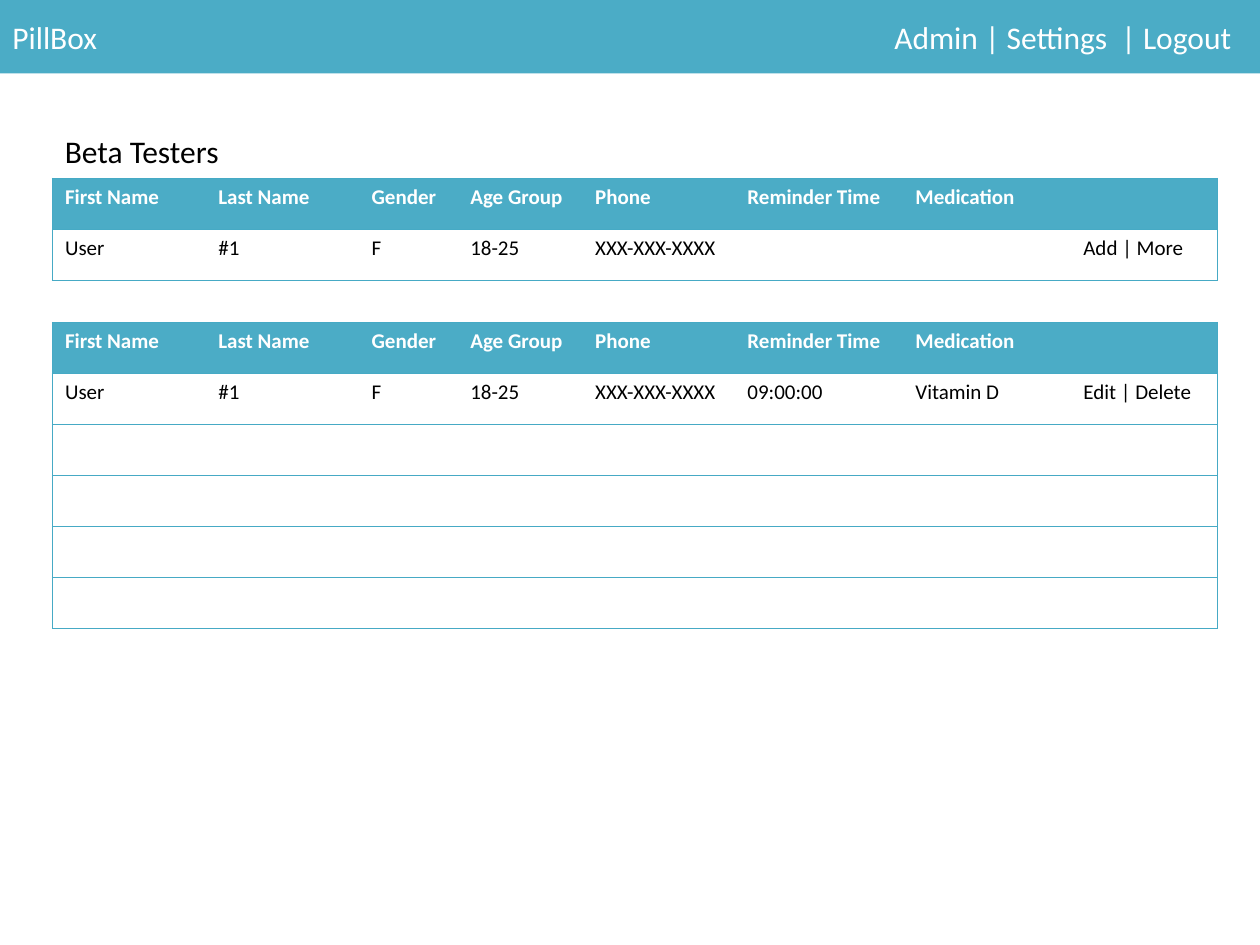
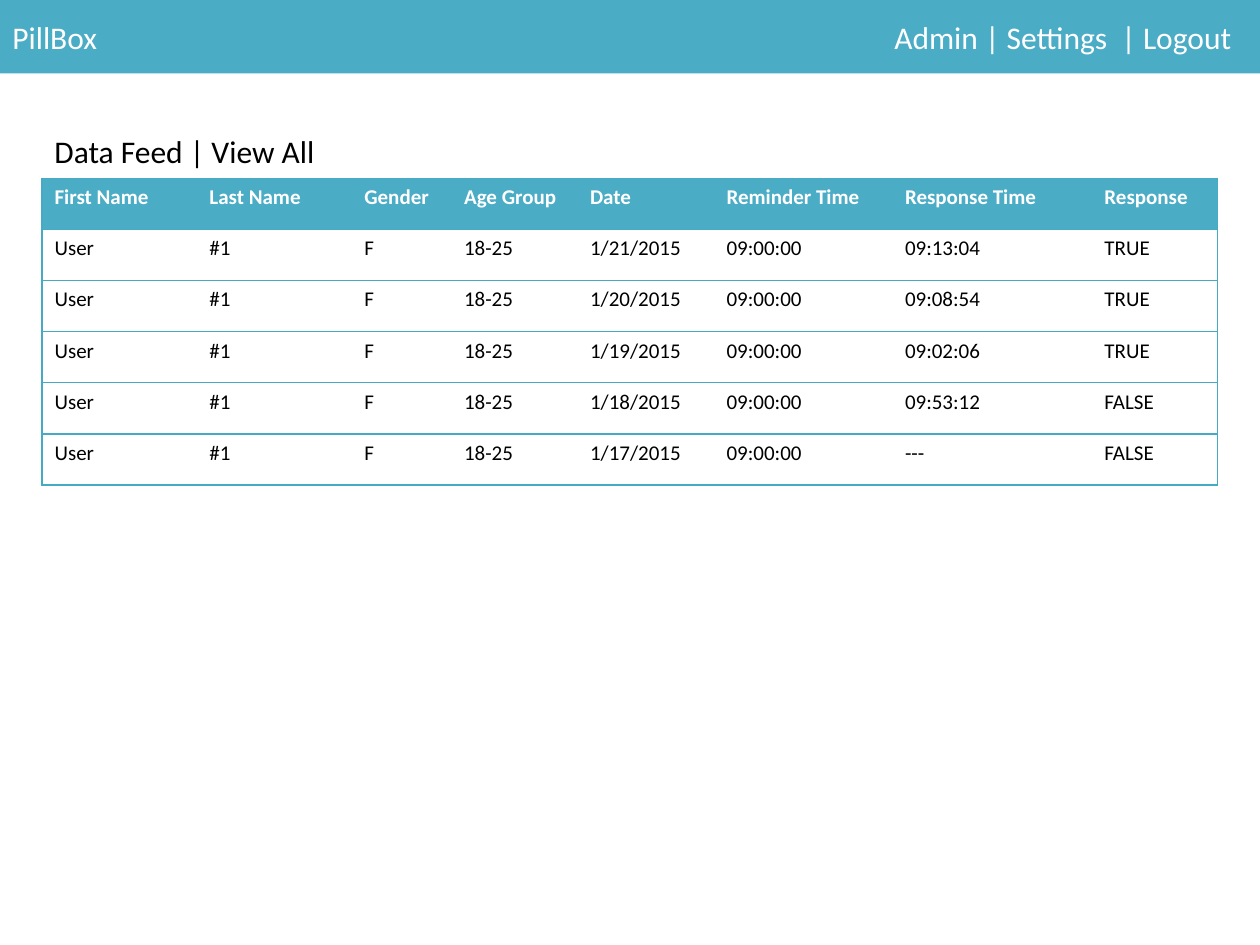
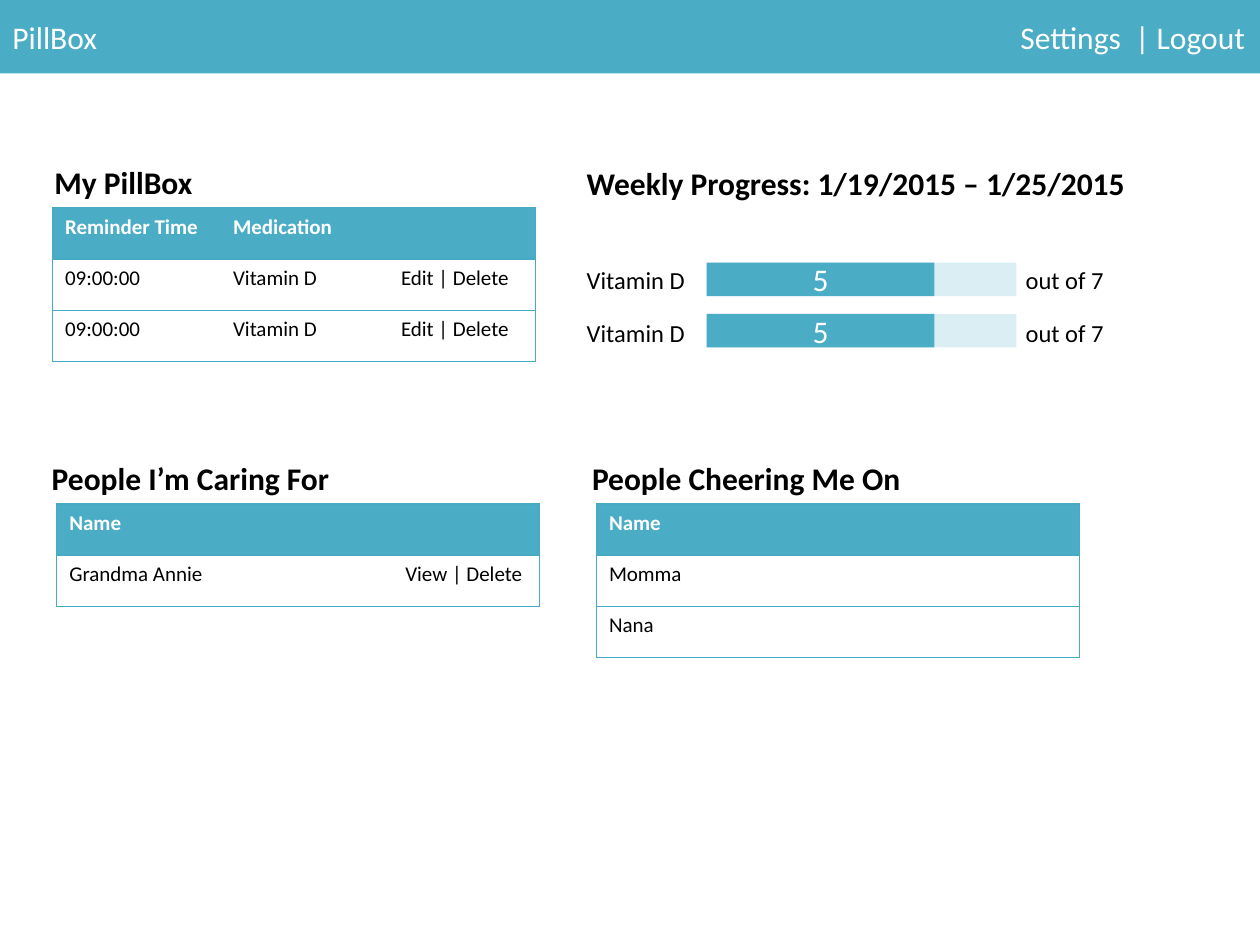
"""Builds the three PillBox app screens on a grid of 120 by 90 units."""
from lxml import etree
from pptx import Presentation, util as u
from pptx.dml.color import RGBColor
from pptx.enum import shapes, text
from pptx.oxml import ns

UNIT = u.Inches(10) // 120
TEAL, PALE, EDGE, WHITE, BLACK = "4BACC6", "DBEEF4", "46AAC5", "FFFFFF", "000000"
ROW = 4.87
BAND = 7
PLAIN_TABLE = "{2D5ABB26-0587-4C30-8999-92F81FD0307C}"


def color(code):
    return RGBColor.from_string(code)


def write(para, words, ink=BLACK, **formats):
    span = para.add_run()
    span.text = words
    span.font.color.rgb = color(ink)
    for name, value in {"name": "Calibri", "size": u.Pt(18), "bold": False, **formats}.items():
        setattr(span.font, name, value)


TESTER_COLUMNS = [14.6, 14.6, 9.4, 11.9, 14.5, 16, 16, 14]
TESTER_HEAD = "First Name,Last Name,Gender,Age Group,Phone,Reminder Time,Medication,"
FEED_COLUMNS = [14.75, 14.75, 9.5, 12, 13, 17, 19, 12]
DOSE = "09:00:00,Vitamin D,Edit | Delete"
FEED = [
    ("21", "09:13:04", "TRUE"),
    ("20", "09:08:54", "TRUE"),
    ("19", "09:02:06", "TRUE"),
    ("18", "09:53:12", "FALSE"),
    ("17", "---", "FALSE"),
]
SCREENS = [
    {
        "menu": "Admin | Settings  | Logout", "menu_at": 84, "bold": False,
        "titles": [(5, 12, 17.2, "Beta Testers")],
        "tables": [
            (5, 17, TESTER_COLUMNS, [TESTER_HEAD, "User,#1,F,18-25,XXX-XXX-XXXX,,,Add | More"]),
            (5, 30.7, TESTER_COLUMNS,
             [TESTER_HEAD, "User,#1,F,18-25,XXX-XXX-XXXX," + DOSE] + [",,,,,,,"] * 4),
        ],
    },
    {
        "menu": "Admin | Settings  | Logout", "menu_at": 84, "bold": False,
        "titles": [(4, 12, 27.5, "Data Feed | View All")],
        "tables": [
            (4, 17, FEED_COLUMNS,
             ["First Name,Last Name,Gender,Age Group,Date,Reminder Time,Response Time,Response"]
             + [f"User,#1,F,18-25,1/{day}/2015,09:00:00,{time},{taken}" for day, time, taken in FEED]),
        ],
    },
    {
        "menu": "Settings  | Logout", "menu_at": 96, "bold": True,
        "titles": [
            (4, 14.9, 15.7, "My PillBox"),
            (54.7, 15, 54.2, "Weekly Progress: 1/19/2015 – 1/25/2015"),
            (3.75, 43.1, 29, "People I’m Caring For"),
            (55.2, 43.1, 32, "People Cheering Me On"),
        ],
        "tables": [
            (5, 19.8, [16, 16, 14], ["Reminder Time,Medication,", DOSE, DOSE]),
            (5.4, 48, [32, 14], ["Name,", "Grandma Annie,View | Delete"]),
            (56.8, 48, [32, 14], ["Name,", "Momma,", "Nana,"]),
        ],
    },
]

deck = Presentation()
deck.slide_width, deck.slide_height = 120 * UNIT, 90 * UNIT

for screen in SCREENS:
    page = deck.slides.add_slide(deck.slide_layouts[6])

    band = page.shapes.add_shape(shapes.MSO_SHAPE.RECTANGLE, 0, 0, deck.slide_width, BAND * UNIT)
    band.shadow.inherit = False
    band.fill.solid()
    band.fill.fore_color.rgb = color(TEAL)
    band.line.fill.background()
    band.text_frame.vertical_anchor = text.MSO_ANCHOR.MIDDLE
    para = band.text_frame.paragraphs[0]
    para.alignment = text.PP_ALIGN.LEFT
    write(para, "PillBox\t" + screen["menu"], WHITE)
    stops = etree.SubElement(para._p.get_or_add_pPr(), ns.qn("a:tabLst"))
    etree.SubElement(stops, ns.qn("a:tab"), pos=str(screen["menu_at"] * UNIT), algn="l")

    for left, top, width, words in screen["titles"]:
        box = page.shapes.add_textbox(*[int(n * UNIT) for n in (left, top, width, 4.85)])
        box.text_frame.word_wrap = False
        box.text_frame.auto_size = text.MSO_AUTO_SIZE.SHAPE_TO_FIT_TEXT
        write(box.text_frame.paragraphs[0], words, bold=screen["bold"])
        if not words.startswith("Weekly"):
            continue
        box.height = int(22.2 * UNIT)
        for gap in (36.5, 13.5):
            para = box.text_frame.add_paragraph()
            para.space_before = u.Pt(gap)
            write(para, "Vitamin D\tout of 7", size=u.Pt(14))
            stops = etree.SubElement(para._p.get_or_add_pPr(), ns.qn("a:tabLst"))
            etree.SubElement(stops, ns.qn("a:tab"), pos=str(int(41.8 * UNIT)), algn="l")
        for top in (25, 29.9):
            for width, shade, count in ((29.5, PALE, ""), (21.7, TEAL, "5")):
                bar = page.shapes.add_shape(
                    shapes.MSO_SHAPE.RECTANGLE, *[int(n * UNIT) for n in (67.3, top, width, 3.2)])
                bar.shadow.inherit = False
                bar.fill.solid()
                bar.fill.fore_color.rgb = color(shade)
                bar.line.fill.background()
                if count:
                    bar.text_frame.vertical_anchor = text.MSO_ANCHOR.MIDDLE
                    bar.text_frame.paragraphs[0].alignment = text.PP_ALIGN.CENTER
                    write(bar.text_frame.paragraphs[0], count, WHITE)

    for left, top, columns, rows in screen["tables"]:
        size = [int(n * UNIT) for n in (left, top, sum(columns), ROW * len(rows))]
        table = page.shapes.add_table(len(rows), len(columns), *size).table
        table.horz_banding = False
        table._tbl.tblPr.find(ns.qn("a:tableStyleId")).text = PLAIN_TABLE
        for column, width in zip(table.columns, columns):
            column.width = int(width * UNIT)
        for r, line in enumerate(rows):
            table.rows[r].height = int(ROW * UNIT)
            for c, words in enumerate(line.split(",")):
                cell = table.cell(r, c)
                sides = {"L": c == 0, "R": c == len(columns) - 1, "T": True, "B": True}
                for side, drawn in sides.items():
                    if drawn:
                        edge = etree.SubElement(
                            cell._tc.get_or_add_tcPr(), ns.qn("a:ln" + side), w=str(u.Pt(0.75)))
                        fill = etree.SubElement(edge, ns.qn("a:solidFill"))
                        etree.SubElement(fill, ns.qn("a:srgbClr"), val=EDGE)
                if r == 0:
                    cell.fill.solid()
                    cell.fill.fore_color.rgb = color(TEAL)
                else:
                    cell.fill.background()
                if words:
                    write(cell.text_frame.paragraphs[0], words, WHITE if r == 0 else BLACK,
                          size=u.Pt(12), bold=r == 0)

deck.save("out.pptx")
